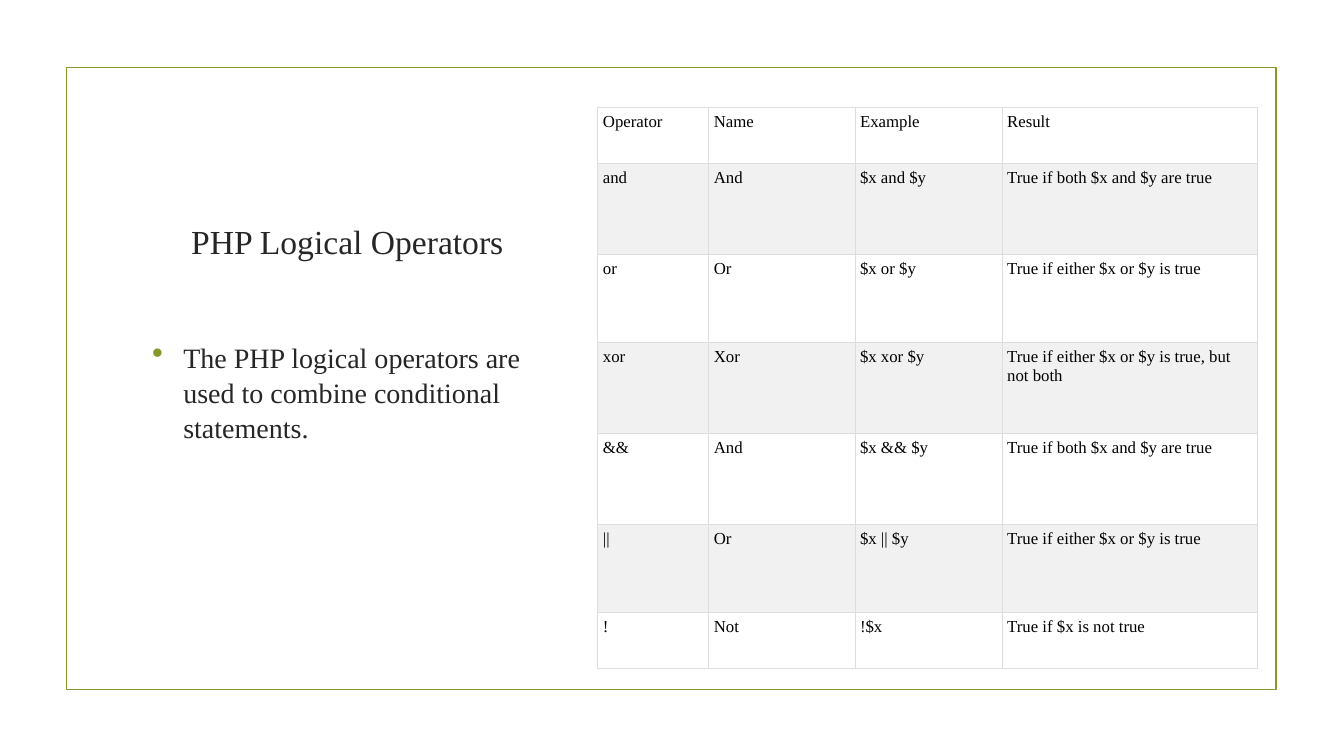
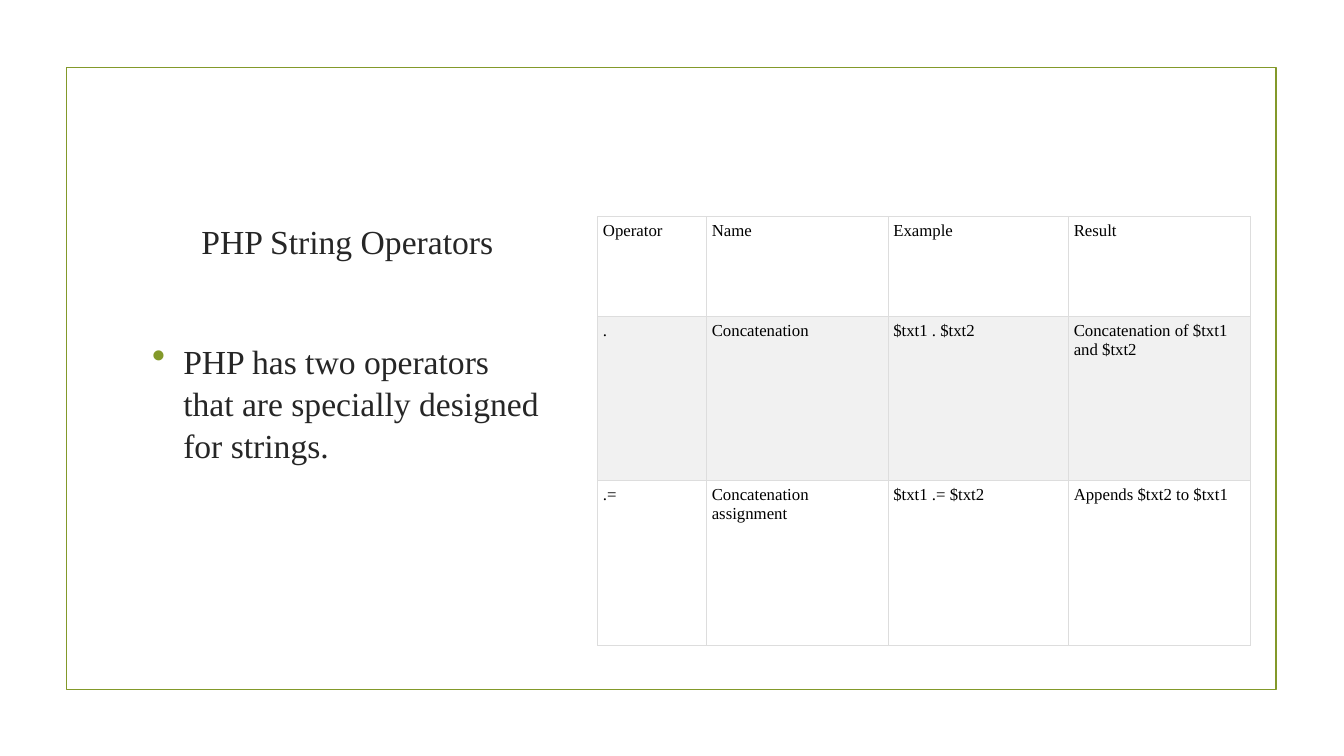
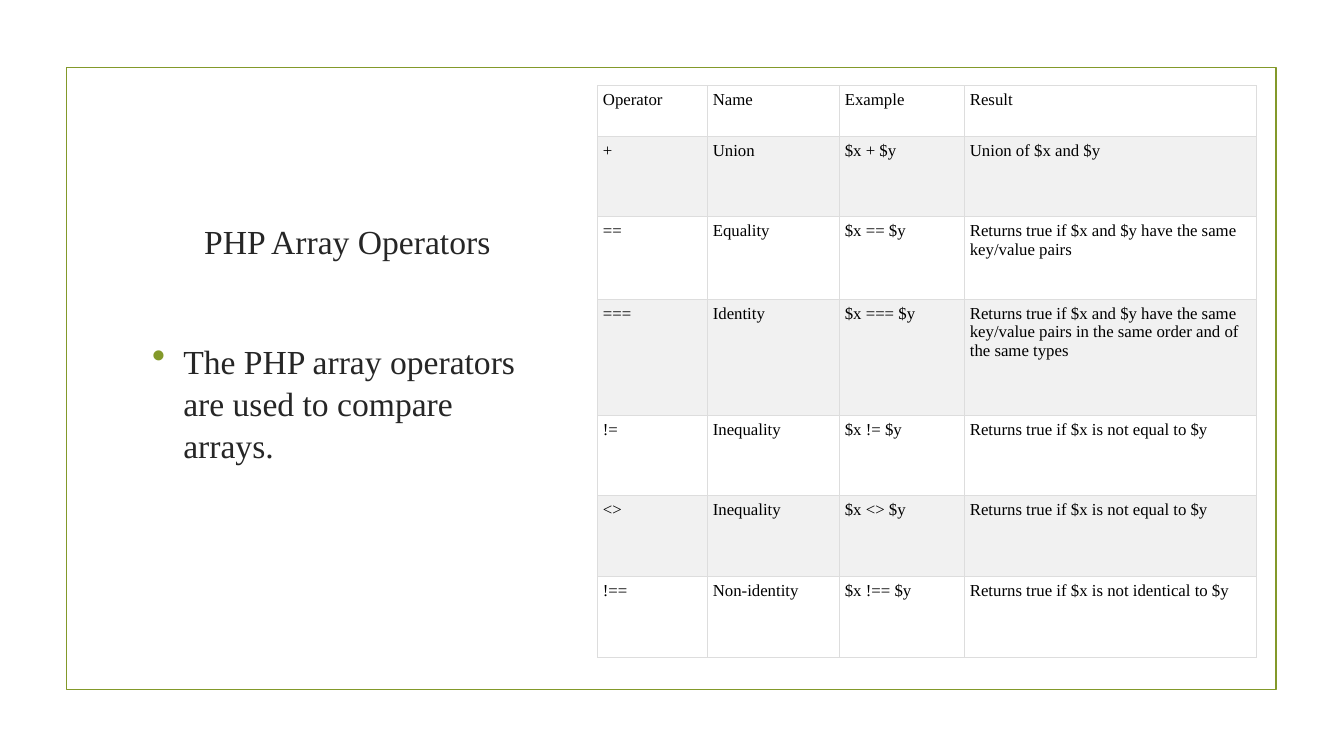
from lxml.etree import SubElement
from pptx import Presentation
from pptx.dml.color import RGBColor
from pptx.enum.shapes import MSO_SHAPE
from pptx.enum.text import MSO_ANCHOR, MSO_AUTO_SIZE, PP_ALIGN
from pptx.oxml.ns import qn
from pptx.util import Inches, Pt

COLORS = {"accent": "83992A", "text": "262626", "cell": "000000",
          "border": "DDDDDD", "plain": "FFFFFF", "band": "F1F1F1"}
FONT = "Times New Roman"
TITLE_ONLY = 5
HEADER = ("Operator", "Name", "Example", "Result")

# Content: one entry per slide
SLIDES = [
    {"title": "PHP Logical Operators",
     "note": "The PHP logical operators are used to combine conditional statements.",
     "size": 20, "top": 1.07,
     "cols": (1.1, 1.45, 1.46, 2.53),
     "heights": (0.55, 0.9, 0.88, 0.9, 0.9, 0.88, 0.55),
     "rows": [
         ("and", "And", "$x and $y", "True if both $x and $y are true"),
         ("or", "Or", "$x or $y", "True if either $x or $y is true"),
         ("xor", "Xor", "$x xor $y", "True if either $x or $y is true, but not both"),
         ("&&", "And", "$x && $y", "True if both $x and $y are true"),
         ("||", "Or", "$x || $y", "True if either $x or $y is true"),
         ("!", "Not", "!$x", "True if $x is not true")]},
    {"title": "PHP String Operators",
     "note": "PHP has two operators that are specially designed for strings.",
     "size": 24, "top": 2.15,
     "cols": (1.08, 1.8, 1.79, 1.8),
     "heights": (0.99, 1.63, 1.63),
     "rows": [
         (".", "Concatenation", "$txt1 . $txt2", "Concatenation of $txt1 and $txt2"),
         (".=", "Concatenation assignment", "$txt1 .= $txt2", "Appends $txt2 to $txt1")]},
    {"title": "PHP Array Operators",
     "note": "The PHP array operators are used to compare arrays.",
     "size": 24, "top": 0.85,
     "cols": (1.09, 1.31, 1.24, 2.89),
     "heights": (0.5, 0.8, 0.82, 1.15, 0.8, 0.8, 0.8),
     "rows": [
         ("+", "Union", "$x + $y", "Union of $x and $y"),
         ("==", "Equality", "$x == $y",
          "Returns true if $x and $y have the same key/value pairs"),
         ("===", "Identity", "$x === $y",
          "Returns true if $x and $y have the same key/value pairs "
          "in the same order and of the same types"),
         ("!=", "Inequality", "$x != $y", "Returns true if $x is not equal to $y"),
         ("<>", "Inequality", "$x <> $y", "Returns true if $x is not equal to $y"),
         ("!==", "Non-identity", "$x !== $y",
          "Returns true if $x is not identical to $y")]},
]


def rgb(name):
    return RGBColor.from_string(COLORS[name])


def set_values(obj, values):
    for name, value in values.items():
        setattr(obj, name, value)


class Deck:
    """Holds the shared style and the current slide."""

    def __init__(self):
        self.prs = Presentation()
        set_values(self.prs, {"slide_width": Inches(13.33),
                              "slide_height": Inches(7.5)})
        self.slide = None

    def new_slide(self):
        layout = self.prs.slide_layouts[TITLE_ONLY]
        self.slide = self.prs.slides.add_slide(layout)

    def add_text(self, p, text, size, color):
        r = p.add_run()
        r.text = text
        set_values(r.font, {"name": FONT, "size": Pt(size)})
        r.font.color.rgb = rgb(color)

    def frame(self):
        sp = self.slide.shapes.add_shape(MSO_SHAPE.RECTANGLE, Inches(0.66),
                                         Inches(0.67), Inches(12), Inches(6.17))
        sp.shadow.inherit = False
        sp.fill.background()
        sp.line.color.rgb = rgb("accent")
        sp.line.width = Pt(1.25)

    def title(self, text):
        sp = self.slide.shapes.title
        set_values(sp, {"left": Inches(1.41), "top": Inches(1.52),
                        "width": Inches(4.07), "height": Inches(1.5)})
        tf = sp.text_frame
        set_values(tf, {"word_wrap": True, "auto_size": MSO_AUTO_SIZE.NONE,
                        "vertical_anchor": MSO_ANCHOR.BOTTOM,
                        "margin_bottom": Inches(0.43)})
        p = tf.paragraphs[0]
        p.alignment = PP_ALIGN.CENTER
        self.add_text(p, text, 24, "text")

    def bullet(self, text, size):
        sp = self.slide.shapes.add_textbox(Inches(1.41), Inches(3.31),
                                           Inches(4.07), Inches(2.67))
        tf = sp.text_frame
        tf.word_wrap = True
        p = tf.paragraphs[0]
        pPr = p._p.get_or_add_pPr()
        pPr.set("marL", str(Inches(0.31)))
        pPr.set("indent", str(-Inches(0.31)))
        color = SubElement(pPr, qn("a:buClr"))
        SubElement(color, qn("a:srgbClr"), val=COLORS["accent"])
        SubElement(pPr, qn("a:buSzPct"), val="115000")
        SubElement(pPr, qn("a:buChar"), char="•")
        set_values(p, {"line_spacing": 1.05, "space_after": Pt(6)})
        self.add_text(p, text, size, "text")

    def borders(self, cell):
        tcPr = cell._tc.get_or_add_tcPr()
        for side in "LRTB":
            ln = SubElement(tcPr, qn(f"a:ln{side}"), w=str(Pt(0.75)))
            fill = SubElement(ln, qn("a:solidFill"))
            SubElement(fill, qn("a:srgbClr"), val=COLORS["border"])

    def table(self, top, cols, heights, rows):
        frame = self.slide.shapes.add_table(
            len(rows), len(cols), Inches(5.93), Inches(top),
            Inches(sum(cols)), Inches(sum(heights)))
        tbl = frame.table
        set_values(tbl, {"first_row": False, "horz_banding": False})
        for col, width in zip(tbl.columns, cols):
            col.width = Inches(width)
        for i, (height, texts) in enumerate(zip(heights, rows)):
            tbl.rows[i].height = Inches(height)
            for j, text in enumerate(texts):
                cell = tbl.cell(i, j)
                for side in ("left", "right", "top", "bottom"):
                    setattr(cell, f"margin_{side}", Inches(0.05))
                self.borders(cell)
                cell.fill.solid()
                cell.fill.fore_color.rgb = rgb("band" if i % 2 else "plain")
                self.add_text(cell.text_frame.paragraphs[0], text, 12, "cell")


def main():
    deck = Deck()
    for item in SLIDES:
        deck.new_slide()
        deck.frame()
        deck.title(item["title"])
        deck.table(item["top"], item["cols"], item["heights"],
                   [HEADER, *item["rows"]])
        deck.bullet(item["note"], item["size"])
    deck.prs.save("out.pptx")


if __name__ == "__main__":
    main()
